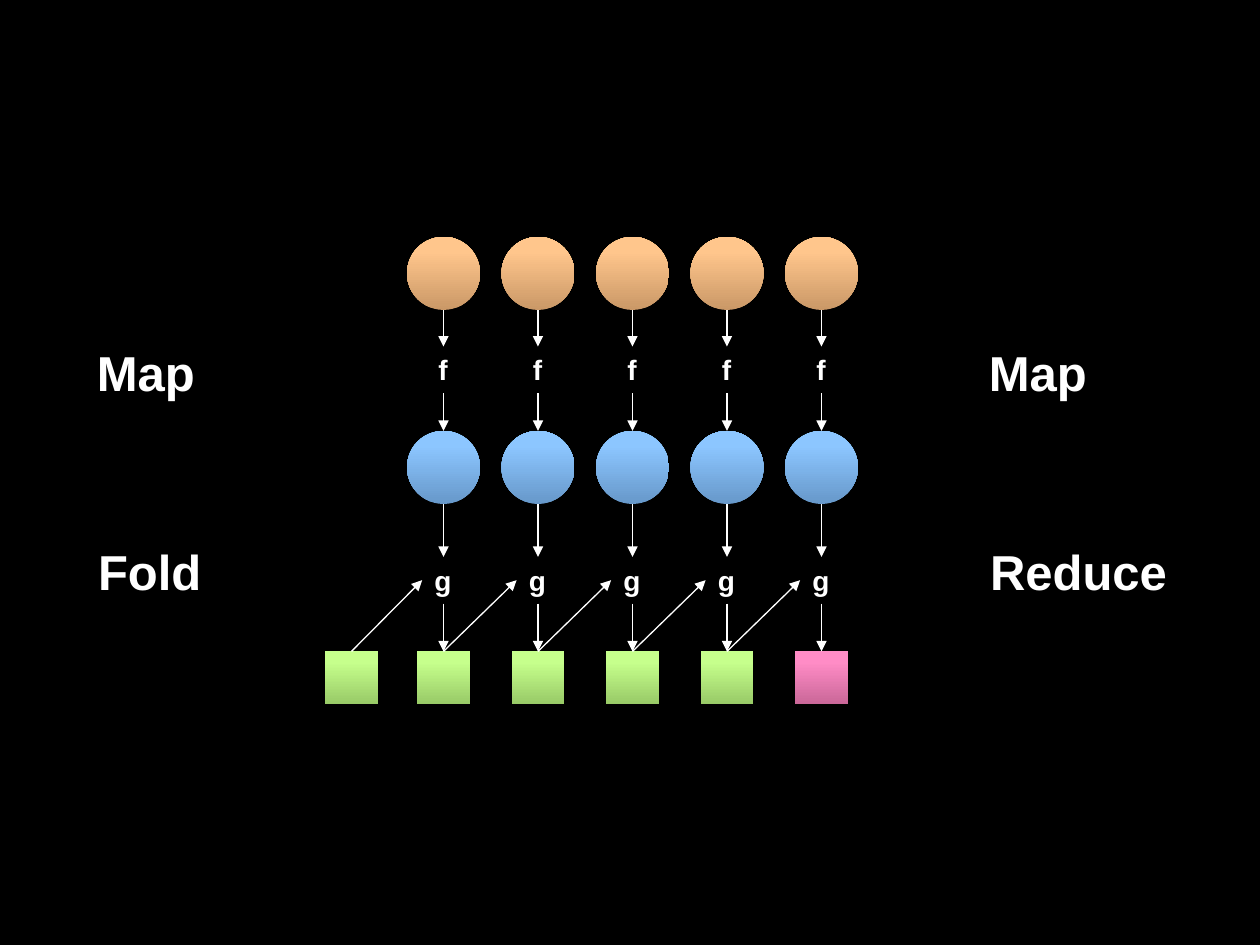
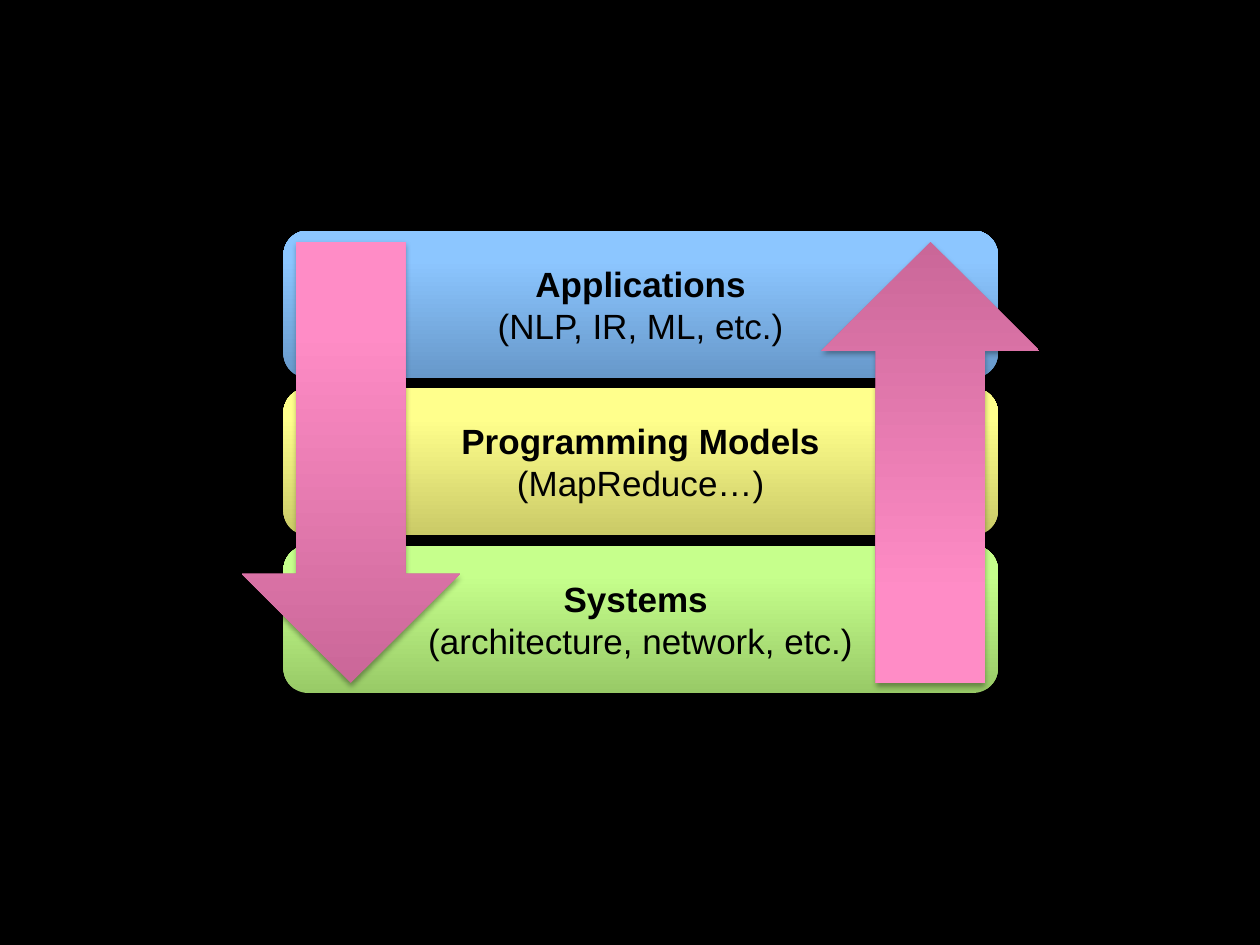
from copy import deepcopy

from lxml.etree import SubElement
from pptx import Presentation
from pptx.dml.color import RGBColor
from pptx.enum.shapes import MSO_CONNECTOR as LINK, MSO_SHAPE as FORM
from pptx.enum.text import MSO_ANCHOR as ANCHOR, MSO_AUTO_SIZE as FIT, PP_ALIGN as ALIGN
from pptx.oxml.ns import qn
from pptx.util import Emu, Inches, Pt

FONT = "Arial"
BLACK = RGBColor(0x00, 0x00, 0x00)
WHITE = RGBColor(0xFF, 0xFF, 0xFF)
ORANGE = [RGBColor(0xCA, 0x98, 0x67), RGBColor(0xFF, 0xC6, 0x8C), RGBColor(0xFF, 0xC7, 0x8E)]
BLUE = [RGBColor(0x67, 0x98, 0xCA), RGBColor(0x8C, 0xC6, 0xFF), RGBColor(0x8E, 0xC7, 0xFF)]
GREEN = [RGBColor(0x98, 0xCA, 0x67), RGBColor(0xC6, 0xFF, 0x8C), RGBColor(0xC7, 0xFF, 0x8E)]
YELLOW = [RGBColor(0xCA, 0xCA, 0x67), RGBColor(0xFF, 0xFF, 0x8C), RGBColor(0xFF, 0xFF, 0x8E)]
PINK = [RGBColor(0xCA, 0x67, 0x98), RGBColor(0xFF, 0x8C, 0xC6), RGBColor(0xFF, 0x8E, 0xC7)]
STOPS = [0, 0.8, 1]
TOP, LEFT, BOTTOM = 0, 1, 2


def write(frame, *lines, size=16, color=WHITE, align=ALIGN.LEFT):
    """Write lines into one paragraph, the first bold and the rest regular."""
    para = frame.paragraphs[0]
    para.alignment = align
    for number, line in enumerate(lines):
        if number:
            para.add_line_break()
        span = para.add_run()
        span.text = line
        span.font.name = FONT
        span.font.size = Pt(size)
        span.font.bold = number == 0
        span.font.color.rgb = color


def add_label(page, text, left, top, width, height, **style):
    """Add a bold label that does not wrap."""
    box = page.shapes.add_textbox(Inches(left), Inches(top), Inches(width), Inches(height))
    box.text_frame.word_wrap = False
    box.text_frame.auto_size = FIT.SHAPE_TO_FIT_TEXT
    write(box.text_frame, text, **style)
    return box


def add_glossy(page, form, colors, left, top, width, height):
    """Add a preset shape with an upward gradient and a soft shadow."""
    shape = page.shapes.add_shape(form, Inches(left), Inches(top), Inches(width), Inches(height))
    shape.line.fill.background()
    shape.fill.gradient()
    shape.fill.gradient_angle = 90
    stops = shape._element.spPr.find(qn("a:gradFill")).find(qn("a:gsLst"))
    stops.append(deepcopy(stops[-1]))
    for stop, color, position in zip(shape.fill.gradient_stops, colors, STOPS):
        stop.color.rgb = color
        stop.position = position
    shape.shadow.inherit = False
    effects = shape._element.spPr.find(qn("a:effectLst"))
    shadow = SubElement(effects, qn("a:outerShdw"), blurRad=str(Pt(3.1)),
                        dist=str(Pt(1.8)), dir="5400000", rotWithShape="0")
    tone = SubElement(shadow, qn("a:srgbClr"), val=str(BLACK))
    SubElement(tone, qn("a:alpha"), val="35000")
    return shape


def add_arrow(page, start, end, end_side=TOP, start_side=BOTTOM):
    """Join two shapes by a thin white arrow; round ones start at their foot."""
    middle = Emu(start.left + start.width // 2)
    foot = Emu(start.top + start.height)
    arrow = page.shapes.add_connector(LINK.STRAIGHT, middle, foot, middle, foot)
    if start_side == TOP or start.name.startswith(("Rectangle", "TextBox")):
        arrow.begin_connect(start, start_side)
    arrow.end_connect(end, end_side)
    arrow.line.color.rgb = WHITE
    arrow.line.width = Pt(0.75)
    properties = arrow._element.spPr
    SubElement(properties.find(qn("a:ln")), qn("a:tailEnd"), type="triangle")
    SubElement(properties, qn("a:effectLst"))


def add_column(page, center, top, previous, result_colors):
    """Draw one map and fold step around a center line and return its result."""
    ball, square = 0.58, 0.42
    item = add_glossy(page, FORM.OVAL, ORANGE, center - ball / 2, top, ball, ball)
    mapper = add_label(page, "f", center - 0.14, top + 0.87, 0.28, 0.37)
    mapped = add_glossy(page, FORM.OVAL, BLUE, center - ball / 2, top + 1.54, ball, ball)
    folder = add_label(page, "g", center - 0.17, top + 2.54, 0.34, 0.37)
    result = add_glossy(page, FORM.RECTANGLE, result_colors,
                        center - square / 2, top + 3.29, square, square)
    chain = [item, mapper, mapped, folder, result]
    for start, end in zip(chain, chain[1:]):
        add_arrow(page, start, end)
    add_arrow(page, previous, folder, end_side=LEFT, start_side=TOP)
    return result


def build_map_fold(page, left=2.58, top=1.88, columns=5):
    """Draw the map and fold diagram with its side labels."""
    result = add_glossy(page, FORM.RECTANGLE, GREEN, left, top + 3.29, 0.42, 0.42)
    for column in range(columns):
        colors = PINK if column == columns - 1 else GREEN
        result = add_column(page, left + 0.94 + 0.75 * column, top, result, colors)
    for text, x, y, width in [("Map", 0.67, 2.67, 0.99), ("Fold", 0.68, 4.25, 1.03),
                              ("Map", 7.75, 2.67, 0.99), ("Reduce", 7.76, 4.25, 1.62)]:
        add_label(page, text, x, y, width, 0.57, size=28)


def build_layers(page, left=2.25, top=1.83):
    """Stack the three layers and cross them with a down and an up arrow."""
    layers = [("Applications", "(NLP, IR, ML, etc.)", BLUE),
              ("Programming Models", "(MapReduce…)", YELLOW),
              ("Systems ", "(architecture, network, etc.)", GREEN)]
    for row, (name, detail, colors) in enumerate(layers):
        layer = add_glossy(page, FORM.ROUNDED_RECTANGLE, colors,
                           left, top + 1.25 * row, 5.67, 1.17)
        layer.text_frame.word_wrap = True
        layer.text_frame.vertical_anchor = ANCHOR.MIDDLE
        write(layer.text_frame, name, detail, size=20, color=BLACK, align=ALIGN.CENTER)
    for offset, flipped in [(-0.33, False), (4.27, True)]:
        arrow = add_glossy(page, FORM.DOWN_ARROW, PINK, left + offset, top + 0.09, 1.73, 3.5)
        if flipped:
            arrow._element.spPr.find(qn("a:xfrm")).set("flipV", "1")


def main():
    """Build the deck and save it."""
    deck = Presentation()
    deck.slide_width, deck.slide_height = Inches(10), Inches(7.5)
    background = deck.slide_master.background.fill
    background.solid()
    background.fore_color.rgb = BLACK
    for build in (build_map_fold, build_layers):
        build(deck.slides.add_slide(deck.slide_layouts[6]))
    deck.save("out.pptx")


if __name__ == "__main__":
    main()
